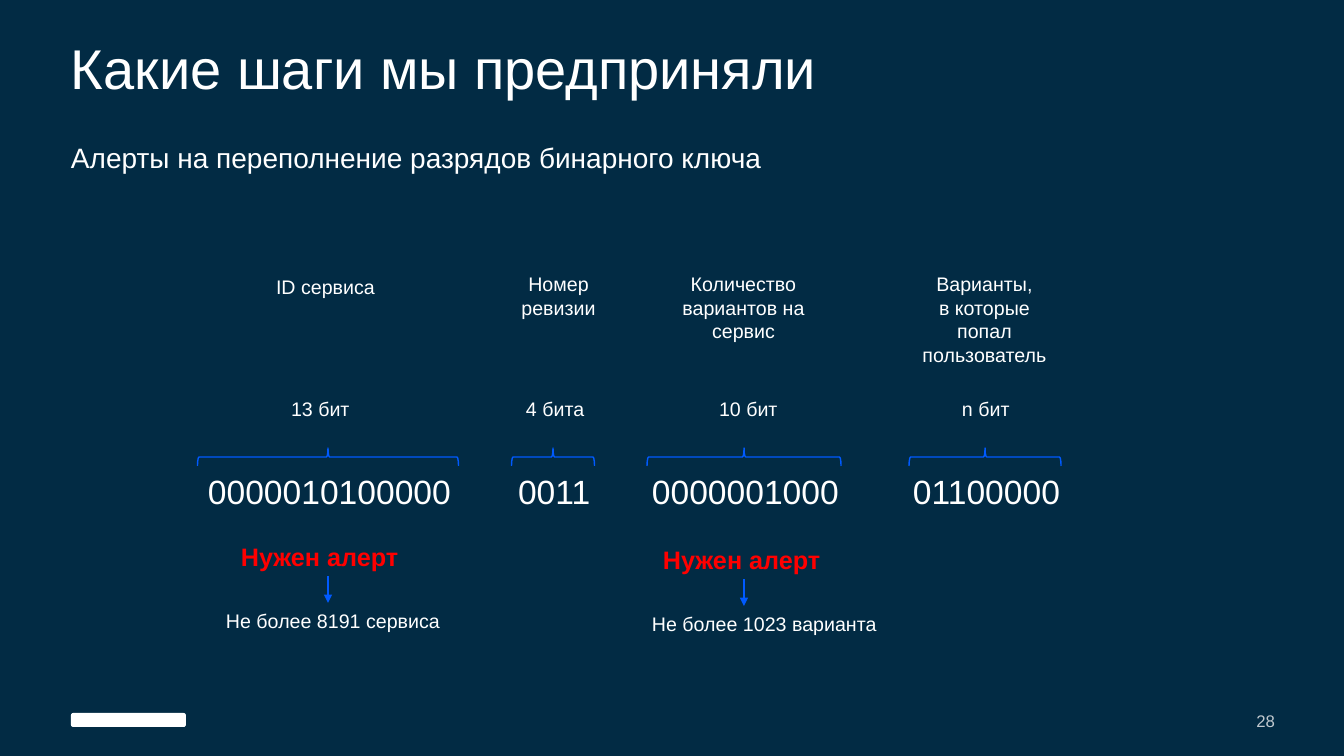
"""Builds the slide about overflow alerts for the binary key."""
from dataclasses import dataclass

from lxml import etree
from pptx import Presentation
from pptx import util as u
from pptx.dml import color
from pptx.enum import shapes, text
from pptx.oxml import ns

EMU_PER_PX = 914400 / 100.8


@dataclass(frozen=True)
class Theme:
    """Colours, font and type sizes of the slide."""
    background: str = "022B44"
    ink: str = "FFFFFF"
    accent: str = "005AFF"
    warning: str = "FF0000"
    muted: str = "C0C8CE"
    font: str = "Arial"
    title: int = 40
    subtitle: int = 20
    code: int = 24
    alert: int = 18
    label: int = 14
    number: int = 12


@dataclass(frozen=True)
class Field:
    """One group of bits: its code, size, name and brace."""
    code: str
    code_box: tuple
    bits: str
    bits_left: int
    name: str
    name_box: tuple
    name_align: str
    brace_center: int
    brace_length: int


THEME = Theme()
ALIGNMENTS = {
    "left": text.PP_ALIGN.LEFT,
    "center": text.PP_ALIGN.CENTER,
    "right": text.PP_ALIGN.RIGHT,
}
INSETS = (10, 5, 10, 5)
FIELDS = (
    Field("0000010100000", (198, 466, 277, 50), "13 бит", 281,
          "ID сервиса", (266, 270, 123, 34), "left", 328, 261),
    Field("0011", (508, 466, 101, 50), "4 бита", 516,
          "Номер ревизии", (482, 267, 153, 57), "center", 553, 83),
    Field("0000001000", (642, 466, 227, 50), "10 бит", 709,
          "Количество вариантов на сервис", (667, 267, 153, 82), "center", 744, 194),
    Field("01100000", (903, 466, 227, 50), "n бит", 952,
          "Варианты,\nв которые попал пользователь", (908, 267, 153, 105), "center", 985, 152),
)


def px(length):
    """Turn pixels into EMU."""
    return u.Emu(round(length * EMU_PER_PX))


def rgb(value):
    """Turn a hex string into a colour."""
    return color.RGBColor.from_string(value)


def add_text(slide, content, box, size=THEME.label, ink=THEME.ink, bold=False,
             align="left", insets=INSETS, middle=False, spacing=None):
    """Add a wrapped text box with one paragraph per line of content."""
    shape = slide.shapes.add_textbox(*map(px, box))
    frame = shape.text_frame
    frame.word_wrap = True
    frame.margin_left, frame.margin_top, frame.margin_right, frame.margin_bottom = map(px, insets)
    frame.vertical_anchor = text.MSO_ANCHOR.MIDDLE if middle else text.MSO_ANCHOR.TOP
    frame.text = content
    for paragraph in frame.paragraphs:
        paragraph.alignment = ALIGNMENTS[align]
        paragraph.line_spacing = spacing
        font = paragraph.font
        font.name, font.size, font.bold = THEME.font, u.Pt(size), bold
        font.color.rgb = rgb(ink)
    return shape


def add_brace(slide, center, length):
    """Add a brace that lies above a code, with its tip pointing up."""
    thickness, middle = 18, 457
    shape = slide.shapes.add_shape(
        shapes.MSO_SHAPE.LEFT_BRACE, px(center - thickness / 2), px(middle - length / 2),
        px(thickness), px(length))
    shape.rotation = 90
    shape.shadow.inherit = False
    shape.fill.background()
    shape.line.color.rgb = rgb(THEME.accent)
    shape.line.width = u.Pt(1)


def add_arrow(slide, source, end):
    """Add an arrow from the bottom of a box down to a height."""
    center = source.left + source.width // 2
    arrow = slide.shapes.add_connector(
        shapes.MSO_CONNECTOR.STRAIGHT, center, source.top + source.height, center, px(end))
    arrow.begin_connect(source, 2)
    arrow.line.color.rgb = rgb(THEME.accent)
    arrow.line.width = u.Pt(1)
    etree.SubElement(arrow.line._get_or_add_ln(), ns.qn("a:tailEnd"), type="triangle")
    etree.SubElement(arrow._element.spPr, ns.qn("a:effectLst"))


def add_field(slide, field):
    """Add the name, bit count, brace and code of one field."""
    add_text(slide, field.name, field.name_box, align=field.name_align)
    add_text(slide, field.bits, (field.bits_left, 392, 93, 34))
    add_brace(slide, field.brace_center, field.brace_length)
    add_text(slide, field.code, field.code_box, size=THEME.code)


def add_alert(slide, left, top, width, limit, limit_left):
    """Add an alert with an arrow down to its limit."""
    alert = add_text(slide, "Нужен алерт", (left, top, width, 40),
                     size=THEME.alert, ink=THEME.warning, bold=True)
    add_text(slide, limit, (limit_left, top + 68, 277, 34))
    add_arrow(slide, alert, top + 67)


def add_logo_block(slide):
    """Add the plain block in the footer."""
    shape = slide.shapes.add_shape(
        shapes.MSO_SHAPE.ROUNDED_RECTANGLE, px(71), px(713), px(115), px(14))
    shape.shadow.inherit = False
    shape.fill.solid()
    shape.fill.fore_color.rgb = rgb(THEME.ink)
    shape.line.fill.background()


def main():
    """Build and save the slide."""
    presentation = Presentation()
    presentation.slide_width, presentation.slide_height = px(1344), px(756)
    slide = presentation.slides.add_slide(presentation.slide_layouts[6])
    slide.background.fill.solid()
    slide.background.fill.fore_color.rgb = rgb(THEME.background)

    add_logo_block(slide)
    add_text(slide, "28", (1175, 709, 100, 24), size=THEME.number, ink=THEME.muted,
             align="right", insets=(0, 0, 0, 0), middle=True)
    add_text(slide, "Какие шаги мы предприняли", (71, 45, 1203, 76),
             size=THEME.title, insets=(0, 0, 0, 0), spacing=0.82)
    add_text(slide, "Алерты на переполнение разрядов бинарного ключа", (71, 141, 927, 58),
             size=THEME.subtitle, insets=(0, 0, 0, 24))
    for field in FIELDS:
        add_field(slide, field)
    add_alert(slide, 231, 536, 194, "Не более 8191 сервиса", 216)
    add_alert(slide, 653, 539, 182, "Не более 1023 варианта", 642)
    presentation.save("out.pptx")


if __name__ == "__main__":
    main()
